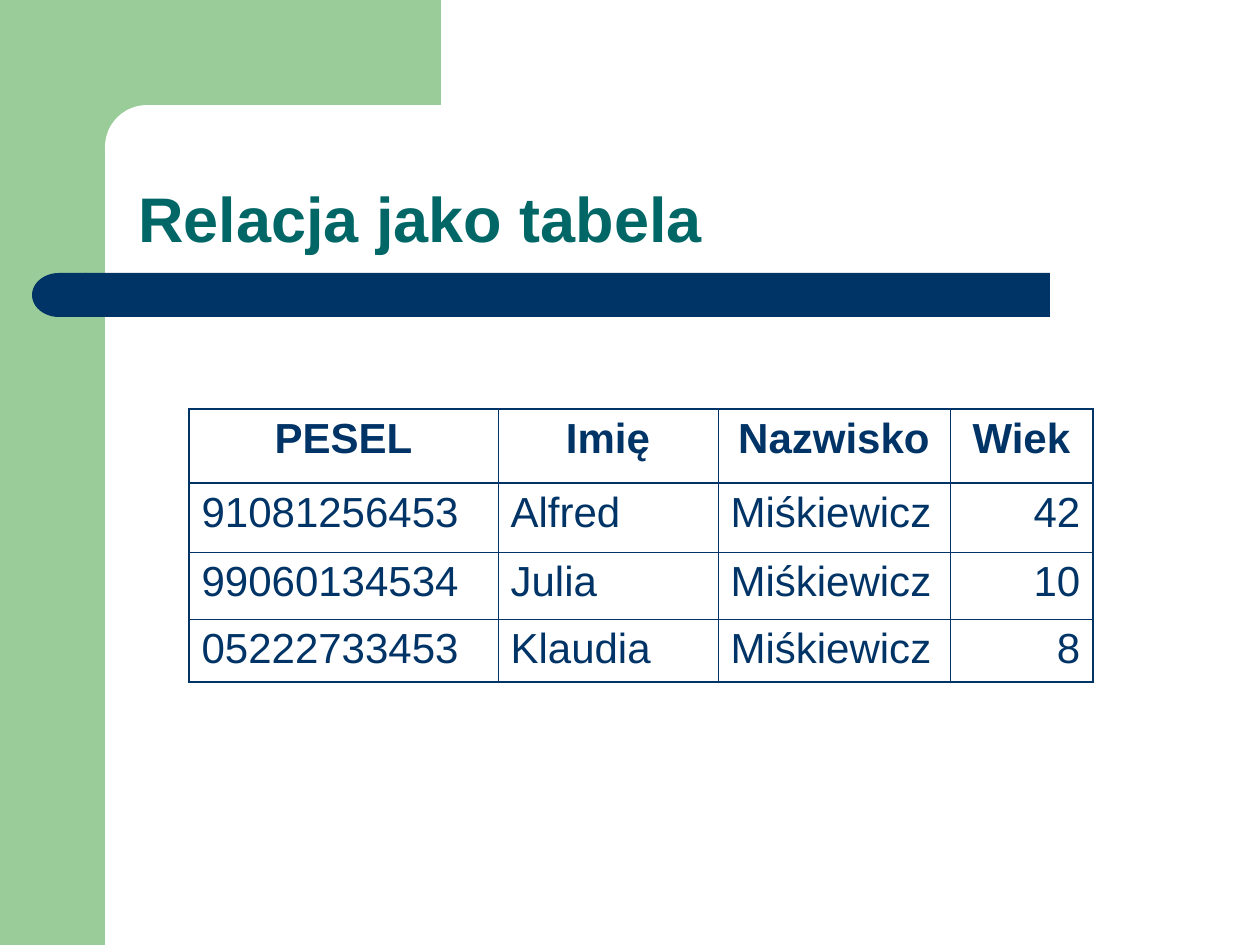
import pptx
import pptx.dml.color
import pptx.enum.shapes
import pptx.enum.text
import pptx.oxml
import pptx.oxml.ns
import pptx.util

RGB = pptx.dml.color.RGBColor
FORM = pptx.enum.shapes.MSO_SHAPE
ALIGN = pptx.enum.text.PP_ALIGN

GREEN = RGB(0x99, 0xCC, 0x99)
WHITE = RGB(0xFF, 0xFF, 0xFF)
NAVY = RGB(0x00, 0x33, 0x66)
TEAL = RGB(0x00, 0x66, 0x66)

SCALE = 914400 / 126
THIN, THICK = 0.45, 1.08

HEAD = {"name": "Arial", "size": pptx.util.Pt(36), "bold": True}
CELL = {"name": "Arial", "size": pptx.util.Pt(24)}

ROWS = [
    ["PESEL", "Imię", "Nazwisko", "Wiek"],
    ["91081256453", "Alfred", "Miśkiewicz", "42"],
    ["99060134534", "Julia", "Miśkiewicz", "10"],
    ["05222733453", "Klaudia", "Miśkiewicz", "8"],
]
WIDTHS = [309, 220, 232, 143]
HEIGHTS = [74, 69, 67, 63]
SIDES = [ALIGN.LEFT, ALIGN.LEFT, ALIGN.LEFT, ALIGN.RIGHT]


def px(num):
    return pptx.util.Emu(round(num * SCALE))


def apply(item, vals):
    for key, val in vals.items():
        setattr(item, key, val)


def write(para, text, look, color):
    run = para.add_run()
    run.text = text
    apply(run.font, look)
    run.font.color.rgb = color


def block(slide, form, box, color):
    shape = slide.shapes.add_shape(form, *map(px, box))
    shape.shadow.inherit = False
    shape.fill.solid()
    shape.fill.fore_color.rgb = color
    shape.line.fill.background()
    return shape


def frame(slide, x, y, w, h):
    """Draw the green corner and the white curve cut into it."""
    block(slide, FORM.RECTANGLE, (x, y, 105, h), GREEN)
    block(slide, FORM.RECTANGLE, (x + 95, y, w - 95, 147), GREEN)
    curve = block(slide, FORM.ROUNDED_RECTANGLE, (x + 105, y + 105, 703, 84), WHITE)
    curve.adjustments[0] = 0.5


def bar(slide, x, y, w, h):
    block(slide, FORM.RECTANGLE, (x + 53, y, w - 53, h), NAVY)
    cap = block(slide, FORM.FLOWCHART_DELAY, (x, y, 54, h), NAVY)
    cap.rotation = 180


def title(slide, x, y, w, h):
    text = slide.shapes.add_textbox(*map(px, (x, y, w, h))).text_frame
    apply(text, {"word_wrap": True,
                 "vertical_anchor": pptx.enum.text.MSO_ANCHOR.BOTTOM})
    para = text.paragraphs[0]
    para.line_spacing = 0.9
    write(para, "Relacja jako tabela", HEAD, TEAL)


def edge(cell, widths):
    """Add left, right, top and bottom lines, with widths in points."""
    props = cell._tc.get_or_add_tcPr()
    for spot, (side, width) in enumerate(zip("LRTB", widths)):
        line = pptx.oxml.parse_xml(
            f'<a:ln{side} {pptx.oxml.ns.nsdecls("a")} w="{pptx.util.Pt(width)}">'
            f'<a:solidFill><a:srgbClr val="{NAVY}"/></a:solidFill></a:ln{side}>')
        props.insert(spot, line)


def grid(slide, x, y):
    rows, cols = len(ROWS), len(WIDTHS)
    table = slide.shapes.add_table(
        rows, cols, px(x), px(y), px(sum(WIDTHS)), px(sum(HEIGHTS))).table
    apply(table, {"first_row": False, "horz_banding": False})
    for col, width in zip(table.columns, WIDTHS):
        col.width = px(width)
    for r, row in enumerate(ROWS):
        table.rows[r].height = px(HEIGHTS[r])
        for c, text in enumerate(row):
            cell = table.cell(r, c)
            cell.fill.background()
            para = cell.text_frame.paragraphs[0]
            para.alignment = SIDES[c] if r else ALIGN.CENTER
            write(para, text, {**CELL, "bold": r == 0}, NAVY)
            bold = (c == 0, c == cols - 1, r < 2, r in (0, rows - 1))
            edge(cell, [THICK if wide else THIN for wide in bold])


def main():
    deck = pptx.Presentation()
    apply(deck, {"slide_width": px(1260), "slide_height": px(945)})
    slide = deck.slides.add_slide(deck.slide_layouts[6])
    frame(slide, 0, 0, 441, 945)
    bar(slide, 32, 273, 1018, 44)
    title(slide, 126, 105, 1103, 157)
    grid(slide, 189, 409)
    deck.save("out.pptx")


if __name__ == "__main__":
    main()
